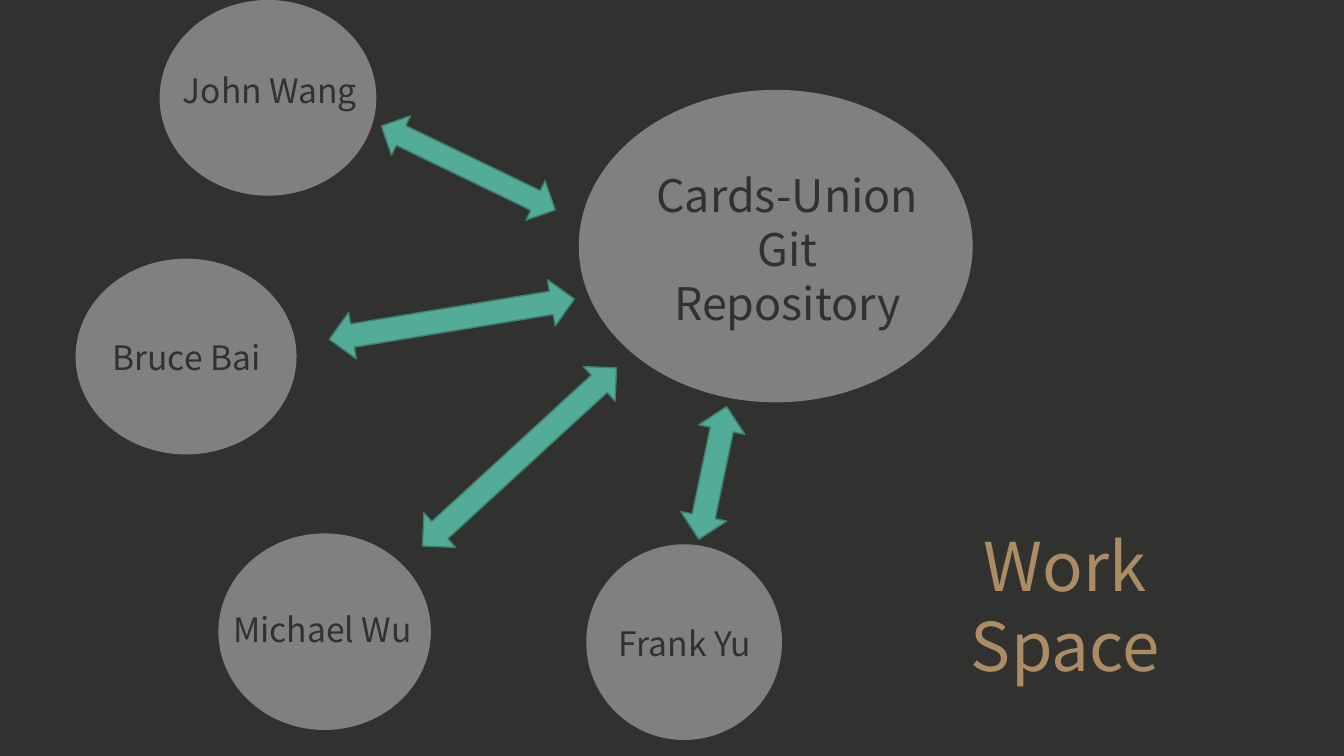
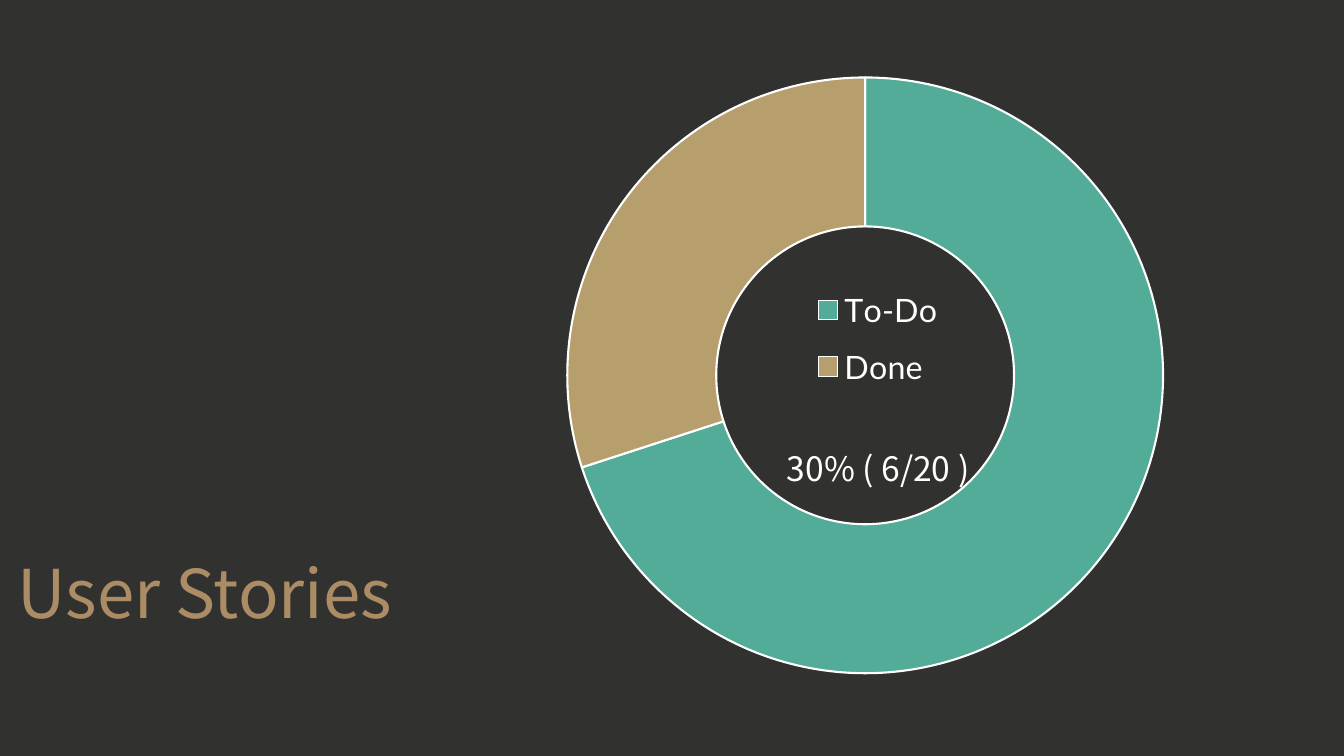
import math

import pptx
import pptx.chart.data
import pptx.dml.color
import pptx.enum.chart
import pptx.enum.shapes
import pptx.enum.text
import pptx.oxml
import pptx.oxml.ns
import pptx.util

COLS, ROWS = 160, 90
CELL = pptx.util.Inches(7.5) / ROWS
FONT, CHART_FONT = "Noto Sans CJK SC", "Lato"
COLORS = {
    "back": "31312F",
    "title": "AB8C64",
    "bubble": "808080",
    "teal": "52AC97",
    "edge": "3D7F70",
    "sand": "B79E6D",
    "white": "FFFFFF",
}
SHAPE = pptx.enum.shapes.MSO_SHAPE
ALIGN = pptx.enum.text.PP_ALIGN


def rgb(name):
    """Return a named colour."""
    return pptx.dml.color.RGBColor.from_string(COLORS[name])


def place(box, col, row, width, height):
    """Turn cells counted from the corner of a box into slide lengths."""
    cells = (box[0] + col, box[1] + row, width, height)
    return [pptx.util.Emu(round(n * CELL)) for n in cells]


def add_text(slide, box, lines, size, color, align=ALIGN.LEFT):
    """Add a text box with one paragraph for each line."""
    tf = slide.shapes.add_textbox(*place(box, 0, 0, *box[2:])).text_frame
    tf.word_wrap = True
    tf.auto_size = pptx.enum.text.MSO_AUTO_SIZE.SHAPE_TO_FIT_TEXT
    for i, line in enumerate(lines):
        p = tf.add_paragraph() if i else tf.paragraphs[0]
        p.alignment = align
        r = p.add_run()
        r.text = line
        r.font.size = pptx.util.Pt(size)
        r.font.name = FONT
        r.font.color.rgb = rgb(color)


def add_title(slide, box, lines):
    """Add a title in the shared style."""
    add_text(slide, box, lines, 48, "title", ALIGN.CENTER)


def add_filled(slide, kind, frame, color):
    """Add a flat shape without an outline."""
    sp = slide.shapes.add_shape(kind, *frame)
    sp.shadow.inherit = False
    sp.fill.solid()
    sp.fill.fore_color.rgb = rgb(color)
    sp.line.fill.background()
    return sp


def add_arrow(slide, box, start, end, thick):
    """Add a two-headed block arrow between two tips."""
    dx, dy = end[0] - start[0], end[1] - start[1]
    length = math.hypot(dx, dy)
    left = (start[0] + end[0] - length) / 2
    top = (start[1] + end[1] - thick) / 2
    frame = place(box, left, top, length, thick)
    sp = add_filled(slide, SHAPE.LEFT_RIGHT_ARROW, frame, "teal")
    sp.rotation = math.degrees(math.atan2(dy, dx))
    sp.line.color.rgb = rgb("edge")
    sp.line.width = pptx.util.Pt(1)


def add_workspace(slide, box):
    """Draw the repository, its members and the arrows between them."""
    hub = (68.9, 10.7, 46.9, 37.2)
    members = [
        ("John Wang", (19, 0, 25.8, 23.3), (20.6, 7.7, 25.2)),
        ("Frank Yu", (69.8, 64.8, 23.3, 23.3), (72.5, 73.6, 20)),
        ("Michael Wu", (26, 63.5, 25.3, 23.4), (26.6, 71.9, 25.2)),
        ("Bruce Bai", (9, 30.8, 26.3, 23.3), (12.2, 39.5, 21)),
    ]
    arrows = [
        ((45.4, 15), (66.1, 25), 5.2),
        ((50.3, 65), (73.4, 43.8), 5.6),
        ((39.2, 40.4), (68.4, 35.6), 5.6),
        ((83.2, 64.2), (86.5, 48.4), 5.6),
    ]
    for bubble in [hub] + [m[1] for m in members]:
        add_filled(slide, SHAPE.OVAL, place(box, *bubble), "bubble")
    for start, end, thick in arrows:
        add_arrow(slide, box, start, end, thick)
    for name, _, (col, row, width) in members:
        label = (box[0] + col, box[1] + row, width, 6)
        add_text(slide, label, [name], 24, "back")
    label = (box[0] + 75.2, box[1] + 19.4, 37.1, 20.6)
    add_text(slide, label, ["Cards-Union Git Repository"], 32, "back", ALIGN.CENTER)


def manual_layout(x, y, w, h, inner=False):
    """Build a chart layout from shares of the chart's size."""
    target = '<c:layoutTarget val="inner"/>' if inner else ""
    modes = '<c:xMode val="edge"/><c:yMode val="edge"/>'
    sizes = "".join(f'<c:{k} val="{v}"/>' for k, v in zip("xywh", (x, y, w, h)))
    return pptx.oxml.parse_xml(
        f'<c:layout {pptx.oxml.ns.nsdecls("c")}><c:manualLayout>'
        f"{target}{modes}{sizes}</c:manualLayout></c:layout>"
    )


def style_font(font, size):
    """Give chart text its font, size and colour."""
    font.name = CHART_FONT
    font.size = pptx.util.Pt(size)
    font.color.rgb = rgb("white")


def add_progress(slide, box):
    """Draw the doughnut chart with its legend and total in the hole."""
    data = pptx.chart.data.CategoryChartData()
    data.categories = ["To-Do", "Done"]
    data.add_series("Series 1", (70, 30))
    kind = pptx.enum.chart.XL_CHART_TYPE.DOUGHNUT
    chart = slide.shapes.add_chart(kind, *place(box, 0, 0, *box[2:]), data).chart
    chart.has_title = False
    style_font(chart.font, 10)
    plot = chart.plots[0]
    plot.vary_by_categories = True
    for i, color in enumerate(("teal", "sand")):
        fmt = plot.series[0].points[i].format
        fmt.fill.solid()
        fmt.fill.fore_color.rgb = rgb(color)
        fmt.line.color.rgb = rgb("white")
        fmt.line.width = pptx.util.Pt(1.5)
    chart.has_legend = True
    chart.legend.position = pptx.enum.chart.XL_LEGEND_POSITION.BOTTOM
    chart.legend.include_in_layout = False
    style_font(chart.legend.font, 23)
    root = chart.element
    for old in root.xpath(".//c:plotArea/c:layout | .//c:legend/c:layout"):
        old.getparent().remove(old)
    area = root.xpath(".//c:plotArea")[0]
    area.insert(0, manual_layout(0.167, 0.041, 0.639, 0.877, inner=True))
    legend_pos = root.xpath(".//c:legend/c:legendPos")[0]
    legend_pos.addnext(manual_layout(0.41, 0.33, 0.18, 0.19))
    for hole in root.xpath(".//c:holeSize"):
        hole.set("val", "75")
    total = (box[0] + 43.5, box[1] + 46.8, 25, 6)
    add_text(slide, total, ["30% ( 6/20 )"], 24, "white")


def main():
    """Build and save both slides."""
    prs = pptx.Presentation()
    prs.slide_width = pptx.util.Emu(round(COLS * CELL))
    prs.slide_height = pptx.util.Emu(round(ROWS * CELL))
    back = prs.slide_master.background.fill
    back.solid()
    back.fore_color.rgb = rgb("back")
    blank = prs.slide_layouts[6]

    s = prs.slides.add_slide(blank)
    add_title(s, (110.9, 61.8, 31.8, 20.6), ["Work", "Space"])
    add_workspace(s, (0, 0, COLS, ROWS))

    s = prs.slides.add_slide(blank)
    add_title(s, (-2.8, 65, 54.4, 10.9), ["User Stories"])
    add_progress(s, (49, 5.9, 111, 80.9))

    prs.save("out.pptx")


if __name__ == "__main__":
    main()
